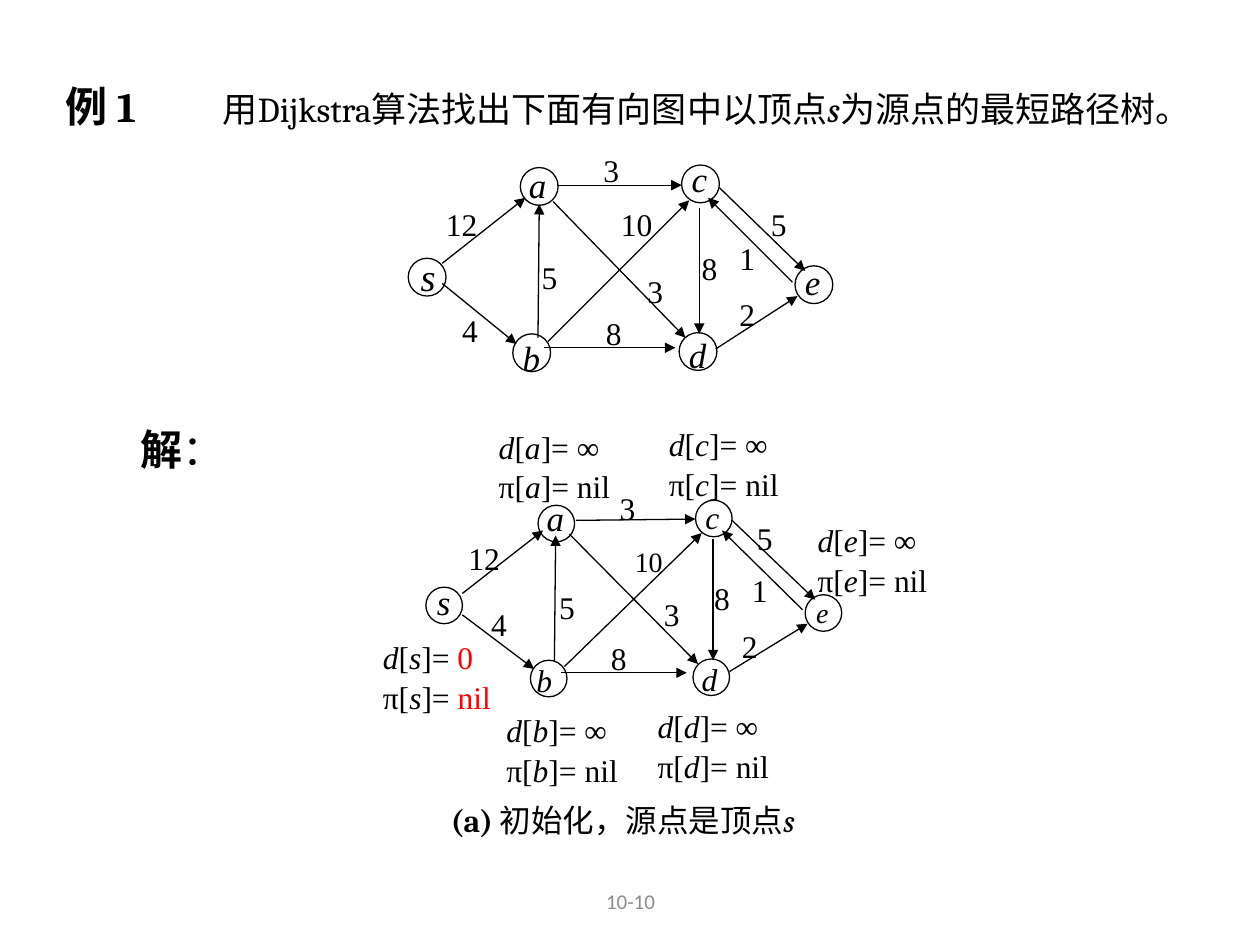
from pptx import Presentation
from pptx import util as u
from pptx.dml.color import RGBColor
from pptx.enum import shapes, text
from pptx.oxml.ns import qn
from lxml import etree

SERIF, HEAD, HAN = "Times New Roman", "Cambria", "Noto Sans CJK SC"
BLACK, RED, GRAY = "000000", "FF0000", "8C8C8C"

# Each graph: node size, label box (width, height),
# nodes (name, left, top, label left, label top, label size),
# weights (text, left, top, size), edges (x1, y1, x2, y2)
TOP = dict(
    size=0.3, box=(0.47, 0.39),
    nodes=[("a", 4.13, 1.33, 4.1, 1.25, 20), ("b", 4.07, 2.65, 4.05, 2.62, 20),
           ("s", 3.24, 2.05, 3.24, 1.96, 22), ("c", 5.41, 1.31, 5.39, 1.2, 20),
           ("d", 5.39, 2.64, 5.37, 2.6, 20), ("e", 6.31, 2.11, 6.29, 2.02, 20)],
    weights=[("12", 3.44, 1.58, 18), ("4", 3.57, 2.42, 18), ("3", 4.69, 1.15, 18),
             ("8", 4.71, 2.44, 18), ("5", 6.02, 1.58, 18), ("2", 5.77, 2.29, 18),
             ("1", 5.77, 1.85, 18), ("3", 5.04, 2.11, 18), ("10", 4.83, 1.58, 18),
             ("8", 5.47, 1.93, 18), ("5", 4.2, 2, 18)],
    edges=[(4.42, 1.47, 5.41, 1.47), (4.32, 2.76, 5.36, 2.76),
           (5.55, 1.65, 5.55, 2.65), (3.51, 2.09, 4.17, 1.57),
           (3.51, 2.25, 4.1, 2.73), (5.71, 1.49, 6.39, 2.15),
           (5.68, 2.77, 6.33, 2.35), (4.35, 2.71, 5.47, 1.59),
           (4.39, 1.6, 5.44, 2.68), (6.29, 2.24, 5.62, 1.57),
           (4.27, 2.68, 4.28, 1.62)])
START = dict(
    size=0.29, box=(0.46, 0.37),
    nodes=[("a", 4.27, 4.01, 4.24, 3.89, 20), ("b", 4.21, 5.24, 4.16, 5.2, 18),
           ("s", 3.38, 4.66, 3.37, 4.56, 20), ("c", 5.52, 3.97, 5.5, 3.9, 18),
           ("d", 5.5, 5.23, 5.47, 5.19, 18), ("e", 6.39, 4.72, 6.38, 4.68, 16)],
    weights=[("12", 3.62, 4.23, 18), ("4", 3.8, 4.75, 18), ("3", 4.82, 3.83, 18),
             ("8", 4.75, 5.02, 18), ("5", 5.91, 4.07, 18), ("2", 5.79, 4.93, 18),
             ("1", 5.87, 4.48, 18), ("3", 5.17, 4.67, 18), ("10", 4.94, 4.27, 16),
             ("8", 5.57, 4.55, 18), ("5", 4.34, 4.62, 18)],
    edges=[(4.57, 4.13, 5.52, 4.12), (4.45, 5.34, 5.45, 5.34),
           (5.66, 4.28, 5.66, 5.24), (3.67, 4.71, 4.31, 4.21),
           (3.67, 4.88, 4.24, 5.31), (5.81, 4.13, 6.47, 4.76),
           (5.79, 5.33, 6.41, 4.95), (4.48, 5.29, 5.57, 4.23),
           (4.52, 4.24, 5.54, 5.27), (6.37, 4.84, 5.73, 4.21),
           (4.4, 5.25, 4.41, 4.25)])

# Node, distance, parent, value colour, left, top
STATES = [("a", "∞", "nil", BLACK, 3.86, 3.33), ("c", "∞", "nil", BLACK, 5.21, 3.31),
          ("b", "∞", "nil", BLACK, 3.92, 5.58), ("d", "∞", "nil", BLACK, 5.12, 5.55),
          ("e", "∞", "nil", BLACK, 6.39, 4.07), ("s", "0", "nil", RED, 2.94, 5)]

# Runs: text, style ("b" bold, "i" italic), size
TITLE = [("例 1\t", "b", 24), ("用Dijkstra算法找出下面有向图中以顶点", "", 20),
         ("s", "i", 20), ("为源点的最短路径树。", "", 20)]
ANSWER = [("解", "b", 24), ("：", "", 24)]
NOTE = [("(a) ", "b", 18), ("初始化，源点是顶点", "", 18), ("s", "i", 18)]


def rgb(code):
    return RGBColor.from_string(code)


def write(where, at, lines, face=SERIF):
    """Add a text box; each line is a list of (text, style, size[, colour])."""
    box = where.add_textbox(*map(u.Inches, at))
    frame = box.text_frame
    frame.word_wrap = True
    for n, line in enumerate(lines):
        para = frame.add_paragraph() if n else frame.paragraphs[0]
        for words, style, size, *hue in line:
            run = para.add_run()
            run.text = words
            font = run.font
            font.name, font.size = face, u.Pt(size)
            font.bold, font.italic = "b" in style, "i" in style
            font.color.rgb = rgb(hue[0] if hue else BLACK)
            east = etree.SubElement(run._r.get_or_add_rPr(), qn("a:ea"))
            east.set("typeface", HAN)
    return frame


def arrow(where, ends):
    line = where.add_connector(shapes.MSO_CONNECTOR.STRAIGHT, *map(u.Inches, ends))
    line.line.color.rgb = rgb(BLACK)
    line.line.width = u.Pt(0.75)
    tip = etree.SubElement(line.line._get_or_add_ln(), qn("a:tailEnd"))
    tip.set("type", "triangle")
    etree.SubElement(line._element.spPr, qn("a:effectLst"))


def graph(where, data):
    size, box = data["size"], data["box"]
    for name, x, y, left, top, pts in data["nodes"]:
        write(where, (left, top, *box), [[(name, "i", pts)]])
        ring = where.add_shape(shapes.MSO_SHAPE.OVAL,
                               *map(u.Inches, (x, y, size, size)))
        ring.shadow.inherit = False
        ring.fill.background()
        ring.line.color.rgb = rgb(BLACK)
        ring.line.width = u.Pt(0.75)
    for ends in data["edges"]:
        arrow(where, ends)
    for value, left, top, pts in data["weights"]:
        write(where, (left, top, *box), [[(value, "", pts)]])


def state(where, node, dist, par, hue, left, top):
    lines = [[(sign, style, 18), ("[", "", 18), (node, "i", 18),
              ("]= ", "", 18), (value, "", 18, hue)]
             for sign, style, value in (("d", "i", dist), ("π", "", par))]
    frame = write(where, (left, top, 1.25, 0.7), lines)
    for para in frame.paragraphs:
        para.line_spacing = 1.05


def main():
    deck = Presentation()
    deck.slide_width, deck.slide_height = u.Inches(10), u.Inches(7.5)
    slide = deck.slides.add_slide(deck.slide_layouts[6])
    page = slide.shapes

    # Title with a hanging indent
    title = write(page, (0.42, 0.59, 9.42, 0.5), [TITLE], HEAD)
    props = title.paragraphs[0]._p.get_or_add_pPr()
    props.set("marL", str(u.Inches(1.25)))
    props.set("indent", str(-u.Inches(1.25)))

    # Given graph
    graph(page.add_group_shape().shapes, TOP)

    # Answer: first step with the state of each node
    write(page, (1.02, 3.31, 2.32, 0.5), [ANSWER], HAN)
    step = page.add_group_shape().shapes
    graph(step, START)
    for row in STATES:
        state(step, *row)
    write(step, (3.48, 6.31, 3.06, 0.44), [NOTE], HEAD)

    # Page number
    foot = write(page, (3.42, 6.95, 3.17, 0.4), [[("10-10", "", 12, GRAY)]], "Calibri")
    foot.vertical_anchor = text.MSO_ANCHOR.MIDDLE
    foot.paragraphs[0].alignment = text.PP_ALIGN.CENTER

    deck.save("out.pptx")


if __name__ == "__main__":
    main()
